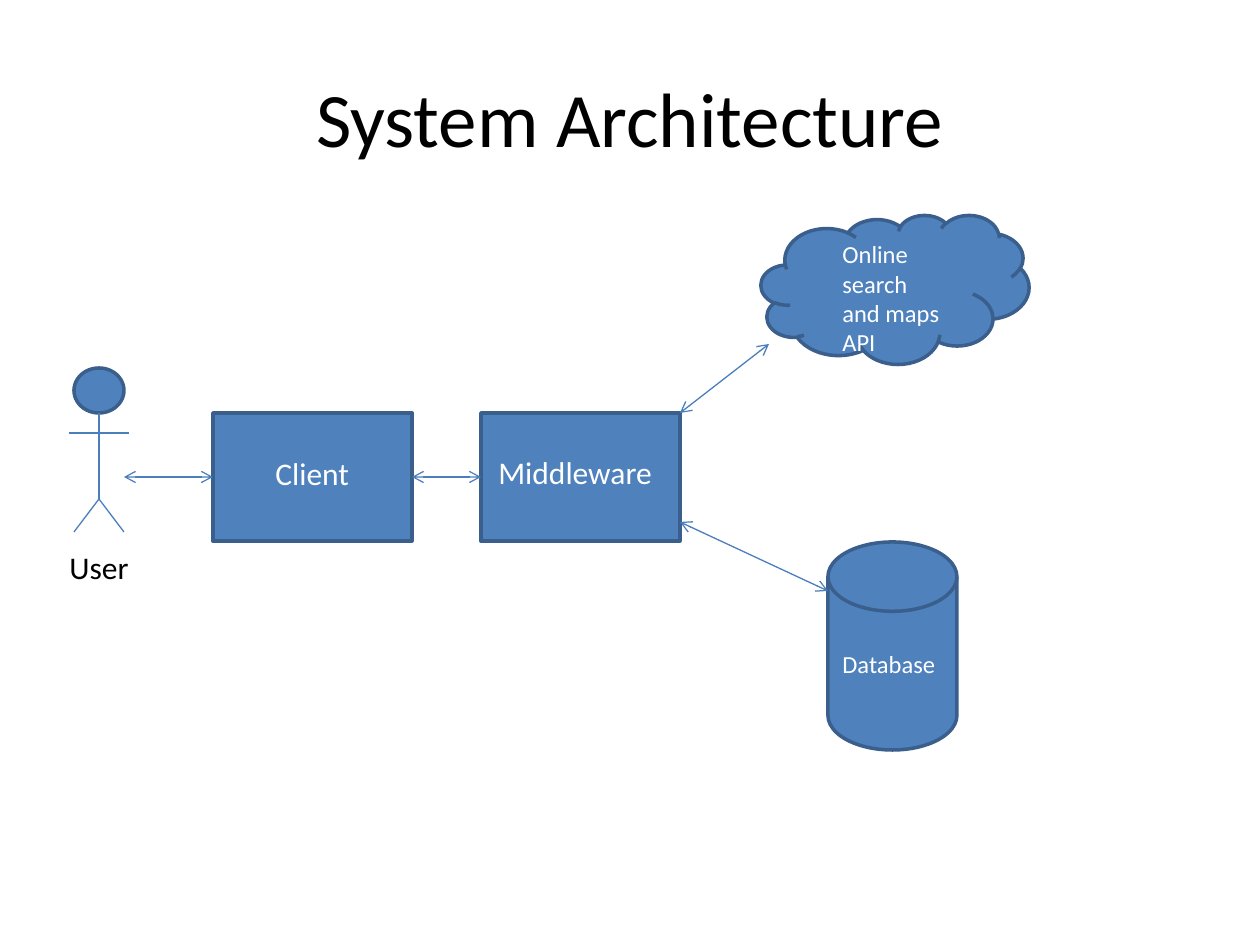
from dataclasses import dataclass
from typing import Optional

import lxml.etree
import pptx
import pptx.dml.color
import pptx.enum.shapes
import pptx.enum.text
import pptx.oxml.ns
import pptx.util
from pptx.presentation import Presentation as Deck
from pptx.shapes.autoshape import Shape
from pptx.shapes.connector import Connector
from pptx.slide import Slide
from pptx.text.text import TextFrame

EMU_PER_PX = 914400 / 126
FONT = "Calibri"
BLUE = pptx.dml.color.RGBColor(0x4F, 0x81, 0xBD)
OUTLINE = pptx.dml.color.RGBColor(0x3A, 0x5F, 0x8C)
STROKE = pptx.dml.color.RGBColor(0x4B, 0x7E, 0xBC)
BLACK = pptx.dml.color.RGBColor(0, 0, 0)
WHITE = pptx.dml.color.RGBColor(0xFF, 0xFF, 0xFF)
SHAPES = pptx.enum.shapes.MSO_SHAPE
ALIGN = pptx.enum.text.PP_ALIGN


@dataclass(frozen=True)
class Area:
    left: int
    top: int
    width: int
    height: int


@dataclass(frozen=True)
class Node:
    key: str
    kind: SHAPES
    area: Area


@dataclass(frozen=True)
class Label:
    text: str
    area: Area
    size: int
    color: pptx.dml.color.RGBColor = WHITE
    wrap: bool = False


@dataclass(frozen=True)
class Link:
    start: tuple[int, int]
    end: tuple[int, int]
    arrows: bool = False
    source: Optional[str] = None
    target: Optional[str] = None


TITLE_AREA = Area(63, 38, 1134, 158)
NODES = [
    Node("client", SHAPES.RECTANGLE, Area(213, 413, 199, 128)),
    Node("middleware", SHAPES.RECTANGLE, Area(481, 413, 199, 128)),
    Node("database", SHAPES.FLOWCHART_MAGNETIC_DISK, Area(828, 542, 129, 208)),
    Node("cloud", SHAPES.CLOUD, Area(761, 215, 268, 149)),
    Node("head", SHAPES.OVAL, Area(74, 368, 50, 45)),
]
LINKS = [
    Link((412, 477), (481, 477), True, "client", "middleware"),
    Link((680, 522), (828, 591), True),
    Link((680, 413), (769, 344), True),
    Link((124, 477), (213, 477), True, target="client"),
    Link((99, 413), (99, 499)),
    Link((69, 433), (129, 433)),
    Link((99, 499), (124, 532)),
    Link((99, 499), (74, 532)),
]
LABELS = [
    Label("Online search and maps API", Area(830, 233, 129, 130), 14, wrap=True),
    Label("Database", Area(830, 643, 129, 43), 14),
    Label("Middleware", Area(486, 447, 189, 50), 18),
    Label("Client", Area(263, 448, 100, 50), 18),
    Label("User", Area(57, 542, 87, 50), 18, BLACK),
]


def px(length: int) -> pptx.util.Emu:
    return pptx.util.Emu(round(length * EMU_PER_PX))


def bounds(area: Area) -> tuple[pptx.util.Emu, ...]:
    return px(area.left), px(area.top), px(area.width), px(area.height)


def write(frame: TextFrame, text: str, size: int,
          color: pptx.dml.color.RGBColor, align: ALIGN) -> None:
    para = frame.paragraphs[0]
    para.alignment = align
    span = para.add_run()
    span.text = text
    span.font.name = FONT
    span.font.size = pptx.util.Pt(size)
    span.font.color.rgb = color


def set_title(page: Slide, text: str) -> None:
    title = page.shapes.title
    title.left, title.top, title.width, title.height = bounds(TITLE_AREA)
    title.text_frame.vertical_anchor = pptx.enum.text.MSO_ANCHOR.MIDDLE
    write(title.text_frame, text, 44, BLACK, ALIGN.CENTER)


def draw_node(page: Slide, node: Node) -> Shape:
    shape = page.shapes.add_shape(node.kind, *bounds(node.area))
    shape.shadow.inherit = False
    shape.fill.solid()
    shape.fill.fore_color.rgb = BLUE
    shape.line.color.rgb = OUTLINE
    shape.line.width = pptx.util.Pt(2)
    return shape


def draw_link(page: Slide, link: Link, nodes: dict[str, Shape]) -> Connector:
    connector = page.shapes.add_connector(
        pptx.enum.shapes.MSO_CONNECTOR.STRAIGHT,
        *map(px, link.start + link.end))
    if link.source:
        connector.begin_connect(nodes[link.source], 3)
    if link.target:
        connector.end_connect(nodes[link.target], 1)
    connector.line.color.rgb = STROKE
    connector.line.width = pptx.util.Pt(0.75)
    if link.arrows:
        outline = connector.line._get_or_add_ln()
        for tag in ("a:headEnd", "a:tailEnd"):
            lxml.etree.SubElement(outline, pptx.oxml.ns.qn(tag), type="arrow")
    lxml.etree.SubElement(connector._element.spPr, pptx.oxml.ns.qn("a:effectLst"))
    return connector


def draw_label(page: Slide, label: Label) -> Shape:
    box = page.shapes.add_textbox(*bounds(label.area))
    box.text_frame.word_wrap = label.wrap
    box.text_frame.auto_size = pptx.enum.text.MSO_AUTO_SIZE.NONE
    write(box.text_frame, label.text, label.size, label.color, ALIGN.LEFT)
    return box


def main() -> None:
    deck: Deck = pptx.Presentation()
    deck.slide_width = pptx.util.Inches(10)
    deck.slide_height = pptx.util.Inches(7.5)
    page = deck.slides.add_slide(deck.slide_layouts.get_by_name("Title Only"))
    set_title(page, "System Architecture")
    nodes = {node.key: draw_node(page, node) for node in NODES}
    for link in LINKS:
        draw_link(page, link, nodes)
    for label in LABELS:
        draw_label(page, label)
    deck.save("out.pptx")


if __name__ == "__main__":
    main()
